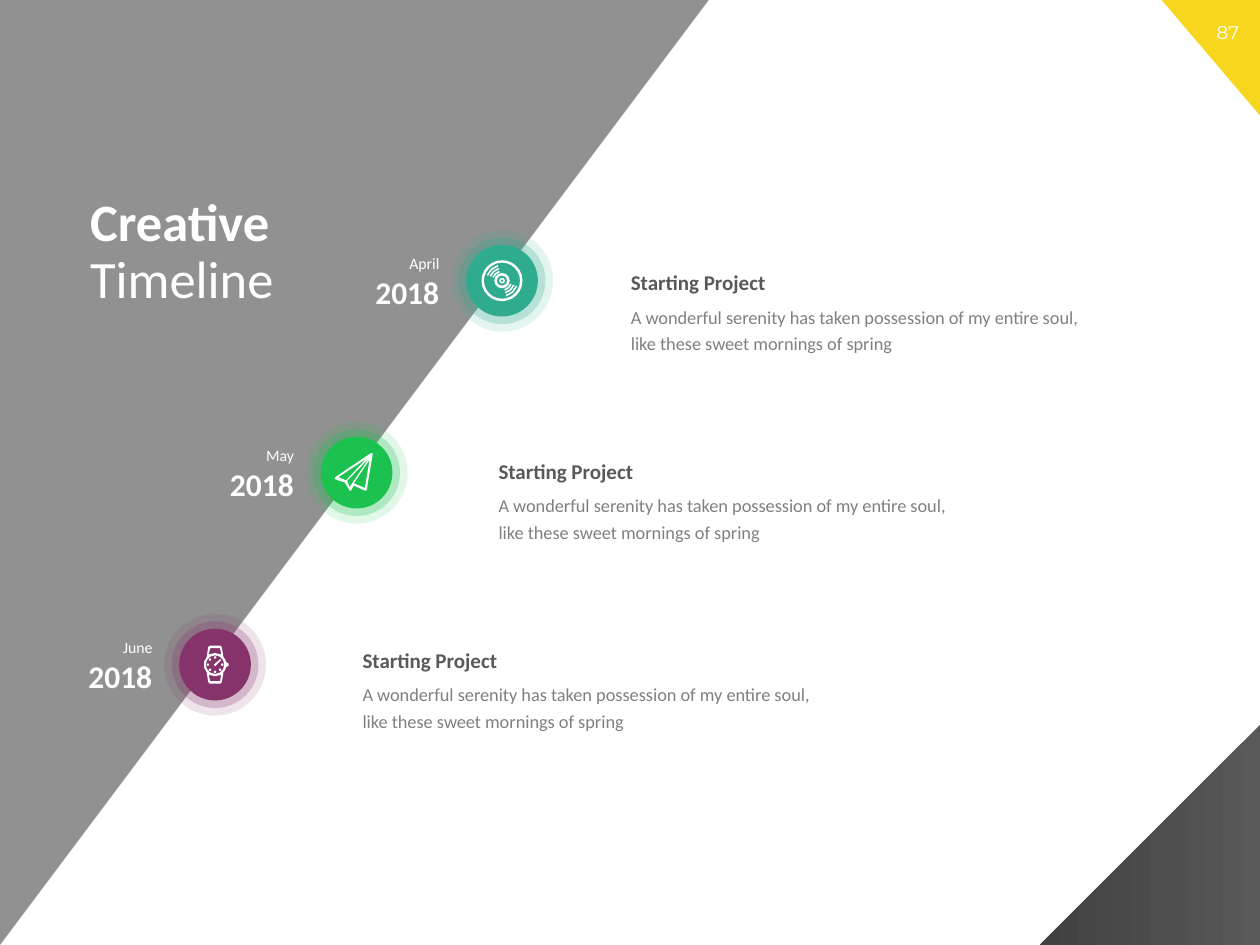
import math
from pptx import Presentation
from pptx import util as u
from pptx.dml import color
from pptx.enum import shapes, text
from pptx.oxml import xmlchemy

Pt = u.Pt
SHAPE = shapes.MSO_SHAPE
ALIGN = text.PP_ALIGN
WHITE = "FFFFFF"


def rgb(hex_text):
    """Turn a hex string into a colour."""
    return color.RGBColor.from_string(hex_text)


def paint(sp, hex_text, alpha=None):
    """Give a shape a plain fill, with no line and no shadow."""
    sp.shadow.inherit = False
    sp.line.fill.background()
    sp.fill.solid()
    sp.fill.fore_color.rgb = rgb(hex_text)
    if alpha is not None:
        clr = sp.element.spPr.find(".//{*}solidFill/{*}srgbClr")
        node = xmlchemy.OxmlElement("a:alpha")
        node.set("val", str(alpha * 1000))
        clr.append(node)


def add_shape(parent, kind, x, y, w, h, fill, alpha=None, rotation=0):
    """Add a filled preset shape."""
    sp = parent.add_shape(kind, Pt(x), Pt(y), Pt(w), Pt(h))
    sp.rotation = rotation
    paint(sp, fill, alpha)
    return sp


def add_round(parent, kind, cx, cy, r):
    """Add a white round shape about a centre."""
    return add_shape(parent, kind, cx - r, cy - r, 2 * r, 2 * r, WHITE)


def write(sp, runs, size, fill, align=ALIGN.LEFT, spacing=None, font="Calibri"):
    """Write one paragraph of (text, bold) runs in a shape."""
    tf = sp.text_frame
    tf.word_wrap = True
    tf.auto_size = text.MSO_AUTO_SIZE.NONE
    tf.vertical_anchor = text.MSO_ANCHOR.TOP
    p = tf.paragraphs[0]
    p.alignment = align
    p.space_before = Pt(0)
    if spacing:
        p.line_spacing = spacing
    for words, bold in runs:
        r = p.add_run()
        r.text = words
        r.font.name, r.font.size, r.font.bold = font, Pt(size), bold
        r.font.color.rgb = rgb(fill)


def add_text(parent, x, y, w, h, words, size, bold=False, **style):
    """Add a white text box."""
    sp = parent.add_textbox(Pt(x), Pt(y), Pt(w), Pt(h))
    write(sp, [(words, bold)], size, WHITE, **style)


def arc(r, start, end, cx=0, step=30):
    """List the points of an arc, with angles in degrees."""
    n = math.ceil(abs(end - start) / step)
    angles = [math.radians(start + (end - start) * i / n) for i in range(n + 1)]
    return [(cx + r * math.cos(a), r * math.sin(a)) for a in angles]


def outline(parent, cx, cy, *contours):
    """Draw closed contours around a centre as one white freeform."""
    placed = [[(Pt(cx + x), Pt(cy + y)) for x, y in c] for c in contours]
    fb = parent.build_freeform(*placed[0][0])
    for i, points in enumerate(placed):
        if i:
            fb.move_to(*points[0])
        fb.add_line_segments(points[1:], close=True)
    paint(fb.convert_to_shape(), WHITE)


def disc_icon(parent, cx, cy):
    """Draw a record with three grooves on each side."""
    for r, width in ((11.7, 1.4), (1.6, 0.9), (4.4, 1.5)):
        ring = add_round(parent, SHAPE.DONUT, cx, cy, r)
        ring.adjustments[0] = width / (2 * r)
    for start in (20, 200):
        for r in (5, 6.7, 8.4):
            outline(parent, cx, cy,
                    arc(r, start, start + 55) + arc(r + 0.9, start + 55, start))


def plane_icon(parent, cx, cy):
    """Draw a paper plane."""
    outline(parent, cx, cy,
            [(9, -11.2), (8.3, -11.2), (-11.9, 2.4), (-12.6, 3.2), (-11.9, 4),
             (-6.8, 5.6), (-4, 10.2), (-3.3, 10.4), (-1.6, 7.4), (4.9, 10.4),
             (5.8, 9.8), (9.2, -10.6)],
            [(4.7, 8.8), (-1.6, 6.1), (7.4, -7.4)],
            [(-5.4, 4.7), (7.2, -8.3), (-4, 8.3)],
            [(-10.4, 2.6), (5.4, -7.8), (-6.1, 4.5)])


def watch_icon(parent, cx, cy):
    """Draw a wrist watch."""
    for angle in (-90, 90, 180, 0, 135, 225, 45):
        a = math.radians(angle)
        add_round(parent, SHAPE.OVAL, cx + 4.1 * math.cos(a),
                  cy + 4.1 * math.sin(a), 0.7)
    top = [(-3.9, -10), (-3, -10.9), (3, -10.9), (3.9, -10)]
    hole = [(-2.8, -9.4), (2.8, -9.4), (3.6, -5.8), (0, -6.6), (-3.6, -5.8)]
    case = (top + arc(6.5, -43, -12) + arc(1.3, -90, 90, cx=6.6, step=60)
            + arc(6.5, 12, 43) + [(-x, -y) for x, y in top] + arc(6.5, 137, 223))
    outline(parent, cx, cy, case, arc(5.3, 0, 330), hole,
            [(x, -y) for x, y in hole])
    outline(parent, cx, cy, [(-0.8, 0.1), (3, -3.2), (3.6, -2.6), (0.1, 0.9)])


def backdrop(s):
    """Place the three corner triangles and the page number."""
    tri = SHAPE.RIGHT_TRIANGLE
    add_shape(s.shapes, tri, 663.8, 0, 56.2, 66, "F6D71E", rotation=180)
    add_text(s.shapes, 683.3, 8.6, 36.7, 20.2, "87", 10.5,
             align=ALIGN.CENTER, font="Montserrat")
    add_shape(s.shapes, tri, -67.5, 67.5, 540, 405, "595959", 66, 90)
    corner = add_shape(s.shapes, tri, 594.3, 414.3, 125.7, 125.7, "595959")
    corner.element.spPr.xfrm.set("flipH", "1")
    corner.fill.gradient()
    corner.fill.gradient_angle = 0
    for stop, (pos, fill) in zip(corner.fill.gradient_stops,
                                 ((0, "595959"), (1, "404040"))):
        stop.position, stop.color.rgb = pos, rgb(fill)


def heading(s, x, y, w, h):
    """Place the slide title above the backdrop."""
    sp = s.shapes.title
    sp.left, sp.top, sp.width, sp.height = Pt(x), Pt(y), Pt(w), Pt(h)
    write(sp, [("Creative ", True), ("Timeline", False)], 30, WHITE, spacing=0.9)
    sp.element.getparent().append(sp.element)


def card(s, x, y):
    """Place a white card with a pointer, a heading and a description."""
    g = s.shapes.add_group_shape().shapes
    panel = add_shape(g, SHAPE.ROUNDED_RECTANGLE, x, y, 294.5, 74.2, WHITE)
    panel.adjustments[0] = 0.03
    add_shape(g, SHAPE.ISOSCELES_TRIANGLE, x - 13, y + 18, 15, 12.2, WHITE,
              rotation=270)
    sp = add_shape(g, SHAPE.RECTANGLE, x + 15, y + 12.2, 150.5, 21.6, WHITE)
    write(sp, [("Starting Project", True)], 12, "595959")
    sp = add_shape(g, SHAPE.RECTANGLE, x + 15, y + 30.2, 276, 38.2, WHITE)
    write(sp, [("A wonderful serenity has taken possession of my entire soul, "
                "like these sweet mornings of spring", False)],
          10.5, "808080", spacing=1.2)


def milestone(s, x, y, month, fill, icon):
    """Place a date and, to its right, a ringed badge with an icon."""
    add_text(s.shapes, x - 93.3, y + 21.4, 93.6, 28.8, "2018", 18, True,
             align=ALIGN.RIGHT)
    add_text(s.shapes, x - 85.3, y + 8, 85.7, 20.2, month, 9,
             align=ALIGN.RIGHT, spacing=1.2)
    g = s.shapes.add_group_shape().shapes
    for inset, alpha in ((0, 13), (4.3, 25), (8.6, None)):
        d = 58.2 - 2 * inset
        add_shape(g, SHAPE.OVAL, x + inset, y + inset, d, d, fill, alpha)
    icon(g, x + 29.1, y + 29.1)


def main():
    """Build and save the slide."""
    prs = Presentation()
    prs.slide_width, prs.slide_height = Pt(720), Pt(540)
    s = prs.slides.add_slide(prs.slide_layouts[5])
    backdrop(s)
    heading(s, 44.3, 108.7, 185.8, 69.8)
    for i, x in enumerate((338.4, 262.8, 185.1)):
        card(s, x, 138.5 + 107.9 * i)
    stages = ((257.8, "April", "2FAB8D", disc_icon),
              (174.7, "May", "1CC24F", plane_icon),
              (93.8, "June", "85336A", watch_icon))
    for i, (x, *stage) in enumerate(stages):
        milestone(s, x, 131.3 + 109.7 * i, *stage)
    prs.save("out.pptx")


if __name__ == "__main__":
    main()
